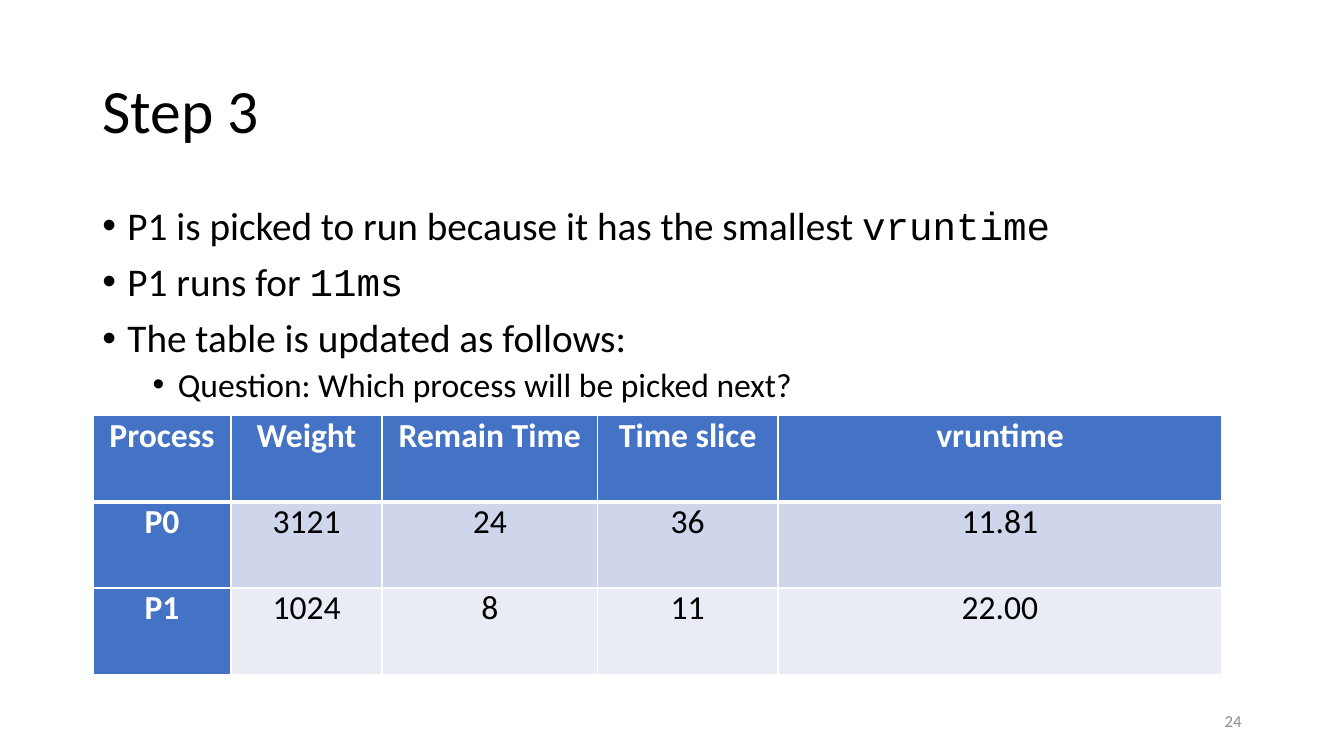
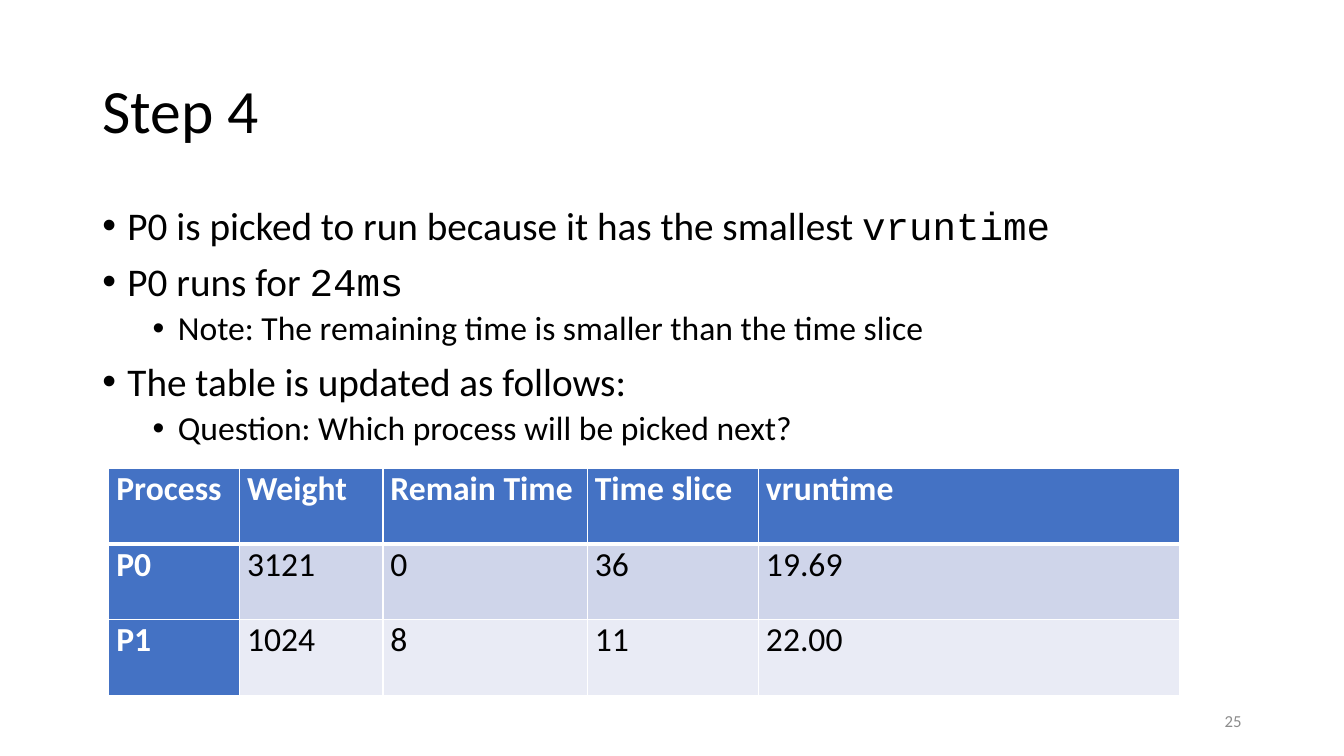
from lxml.etree import SubElement
from pptx import Presentation
from pptx.dml.color import RGBColor
from pptx.enum.text import MSO_ANCHOR, PP_ALIGN
from pptx.oxml.ns import qn
from pptx.util import Pt

COLORS = {
    "paper": "FFFFFF",
    "ink": "000000",
    "header": "4472C4",
    "odd_row": "CFD5EA",
    "even_row": "E9EBF5",
    "page_number": "8C8C8C",
}
BODY_FONT, CODE_FONT = "Calibri", "Courier New"
PAGE_SIZE = (960, 540)
TITLE_BOX = (66, 28.75, 828, 104.4)
BODY_BOX = (66, 143.75, 828, 342.6)
NUMBER_BOX = (678, 500.5, 216, 28.75)

# Text size, space before and left indent of each bullet level
LEVELS = [(28, 10, 18), (24, 5, 54)]
HANGING = 18

COLUMN_NAMES = ["Process", "Weight", "Remain Time", "Time slice", "vruntime"]
COLUMN_SHARES = [98.6, 108, 154, 129, 317.5]


def style_run(span, size, color="ink", font=BODY_FONT, bold=False):
    """Set the font, size, colour and weight of one run."""
    span.font.name = font
    span.font.size = Pt(size)
    span.font.bold = bold
    span.font.color.rgb = RGBColor.from_string(COLORS[color])


def add_text_frame(page, box, anchor=MSO_ANCHOR.TOP):
    """Add a wrapping text box and return its text frame."""
    frame = page.shapes.add_textbox(*map(Pt, box)).text_frame
    frame.word_wrap = True
    frame.vertical_anchor = anchor
    return frame


def add_title(page, box, title):
    """Place the slide title."""
    frame = add_text_frame(page, box, MSO_ANCHOR.MIDDLE)
    frame.text = title
    para = frame.paragraphs[0]
    para.line_spacing = 0.9
    style_run(para.runs[0], 44)


def add_page_number(page, box, number):
    """Place the grey page number at the right of its box."""
    frame = add_text_frame(page, box, MSO_ANCHOR.MIDDLE)
    frame.text = str(number)
    para = frame.paragraphs[0]
    para.alignment = PP_ALIGN.RIGHT
    style_run(para.runs[0], 12, "page_number")


def set_bullet(para, indent):
    """Give a paragraph a hanging round bullet."""
    properties = para._p.get_or_add_pPr()
    properties.set("marL", str(Pt(indent)))
    properties.set("indent", str(-Pt(HANGING)))
    SubElement(properties, qn("a:buFont"), typeface="Arial")
    SubElement(properties, qn("a:buChar"), char="•")


def add_bullets(page, box, bullets):
    """Place bullets given as (level, plain text, code text)."""
    frame = add_text_frame(page, box)
    for index, (level, plain, code) in enumerate(bullets):
        para = frame.add_paragraph() if index else frame.paragraphs[0]
        size, space, indent = LEVELS[level]
        para.level = level
        para.line_spacing = 0.9
        para.space_before = Pt(space)
        set_bullet(para, indent)
        for text, font in ((plain, BODY_FONT), (code, CODE_FONT)):
            if text:
                span = para.add_run()
                span.text = text
                style_run(span, size, font=font)


def set_borders(cell, bottom):
    """Draw white borders, with the bottom one of the given width."""
    properties = cell._tc.get_or_add_tcPr()
    for side, width in (("L", 1), ("R", 1), ("T", 1), ("B", bottom)):
        line = SubElement(properties, qn(f"a:ln{side}"), w=str(Pt(width)))
        fill = SubElement(line, qn("a:solidFill"))
        SubElement(fill, qn("a:srgbClr"), val=COLORS["paper"])


def fill_cell(cell, text, row, column, alignment):
    """Write and style one cell by its place in the table."""
    is_header = row == 0 or column == 0
    set_borders(cell, 1 if row else 3)
    cell.fill.solid()
    band = "header" if is_header else "odd_row" if row % 2 else "even_row"
    cell.fill.fore_color.rgb = RGBColor.from_string(COLORS[band])
    cell.margin_left = cell.margin_right = Pt(5.4)
    cell.margin_top = cell.margin_bottom = 0
    cell.text_frame.text = text
    para = cell.text_frame.paragraphs[0]
    para.alignment = alignment
    style_run(para.runs[0], 24, "paper" if is_header else "ink", bold=is_header)


def add_process_table(page, box, processes, alignment):
    """Place the process table, sharing the box width by column."""
    rows = [COLUMN_NAMES, *processes]
    table = page.shapes.add_table(
        len(rows), len(COLUMN_NAMES), *map(Pt, box)).table
    table.first_col = True
    width, height = box[2:]
    for column, share in zip(table.columns, COLUMN_SHARES):
        column.width = Pt(width * share / sum(COLUMN_SHARES))
    for row, values in enumerate(rows):
        table.rows[row].height = Pt(height / len(rows))
        for column, text in enumerate(values):
            fill_cell(table.cell(row, column), text, row, column, alignment)


def add_step(deck, step, number, bullets, table_box, processes, alignment):
    """Build one slide for a scheduling step."""
    page = deck.slides.add_slide(deck.slide_layouts[6])
    add_title(page, TITLE_BOX, f"Step {step}")
    add_bullets(page, BODY_BOX, bullets)
    add_page_number(page, NUMBER_BOX, number)
    add_process_table(page, table_box, processes, alignment)


def picked(process, duration, note=None):
    """List the bullets for the process that runs in a step."""
    return [
        (0, f"{process} is picked to run because it has the smallest ", "vruntime"),
        (0, f"{process} runs for ", duration),
        *([(1, note, "")] if note else []),
        (0, "The table is updated as follows:", ""),
        (1, "Question: Which process will be picked next?", ""),
    ]


deck = Presentation()
deck.slide_width, deck.slide_height = map(Pt, PAGE_SIZE)
add_step(
    deck, 3, 24, picked("P1", "11ms"), (66.5, 296.75, 806.5, 185),
    [["P0", "3121", "24", "36", "11.81"], ["P1", "1024", "8", "11", "22.00"]],
    PP_ALIGN.CENTER)
add_step(
    deck, 4, 25,
    picked("P0", "24ms", "Note: The remaining time is smaller than the time slice"),
    (77.75, 334.75, 765, 162),
    [["P0", "3121", "0", "36", "19.69"], ["P1", "1024", "8", "11", "22.00"]],
    PP_ALIGN.LEFT)
deck.save("out.pptx")
